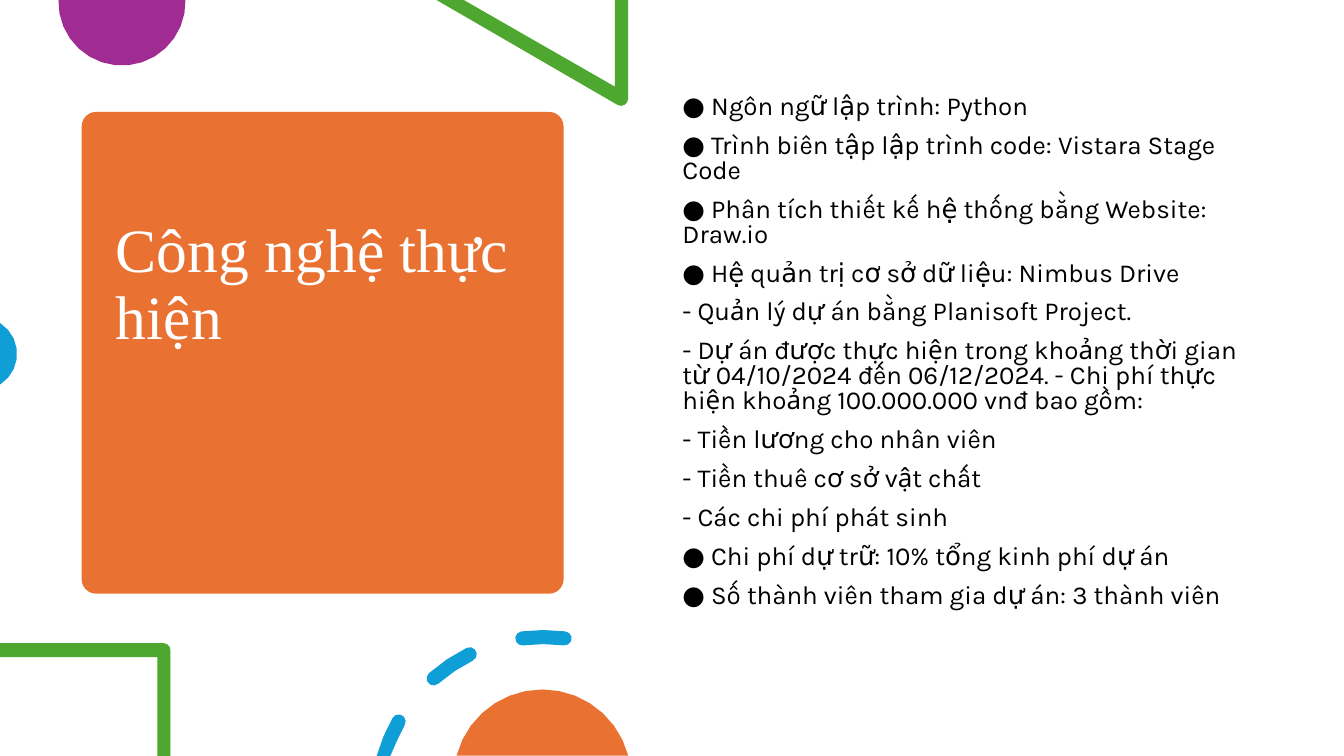
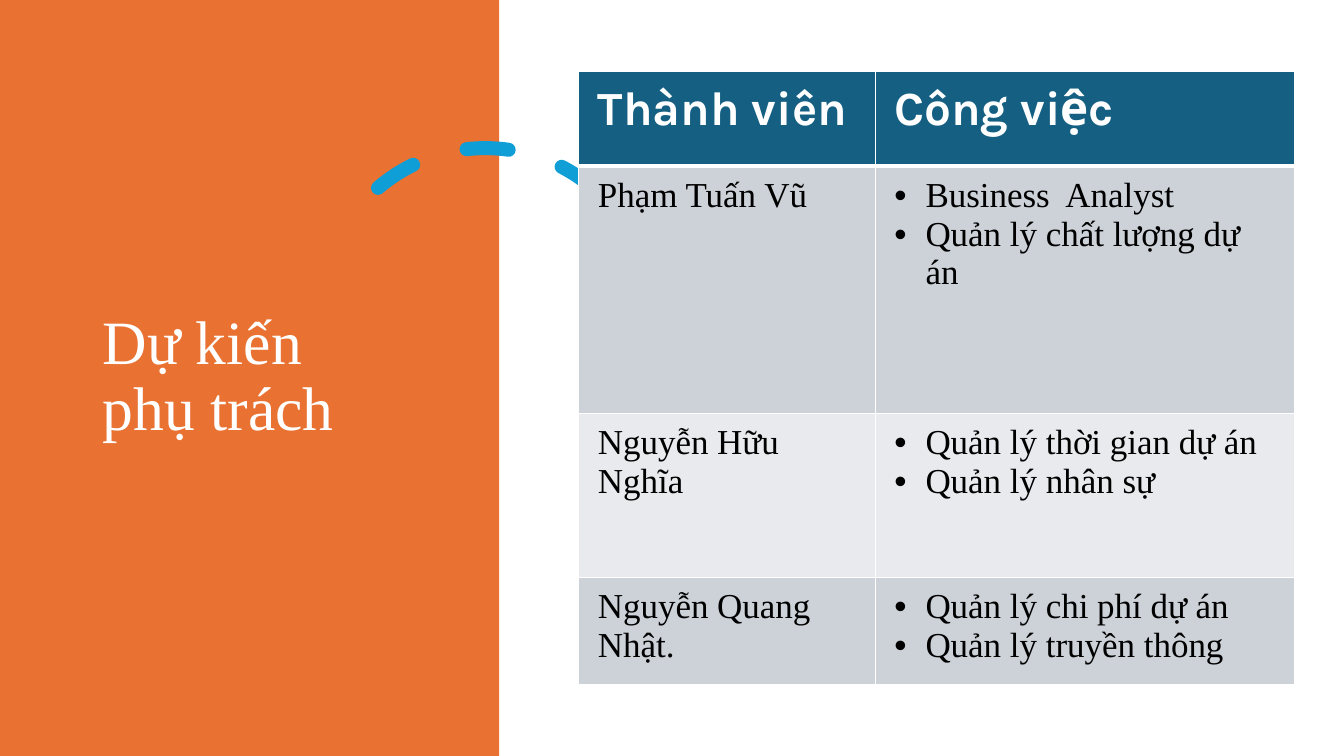
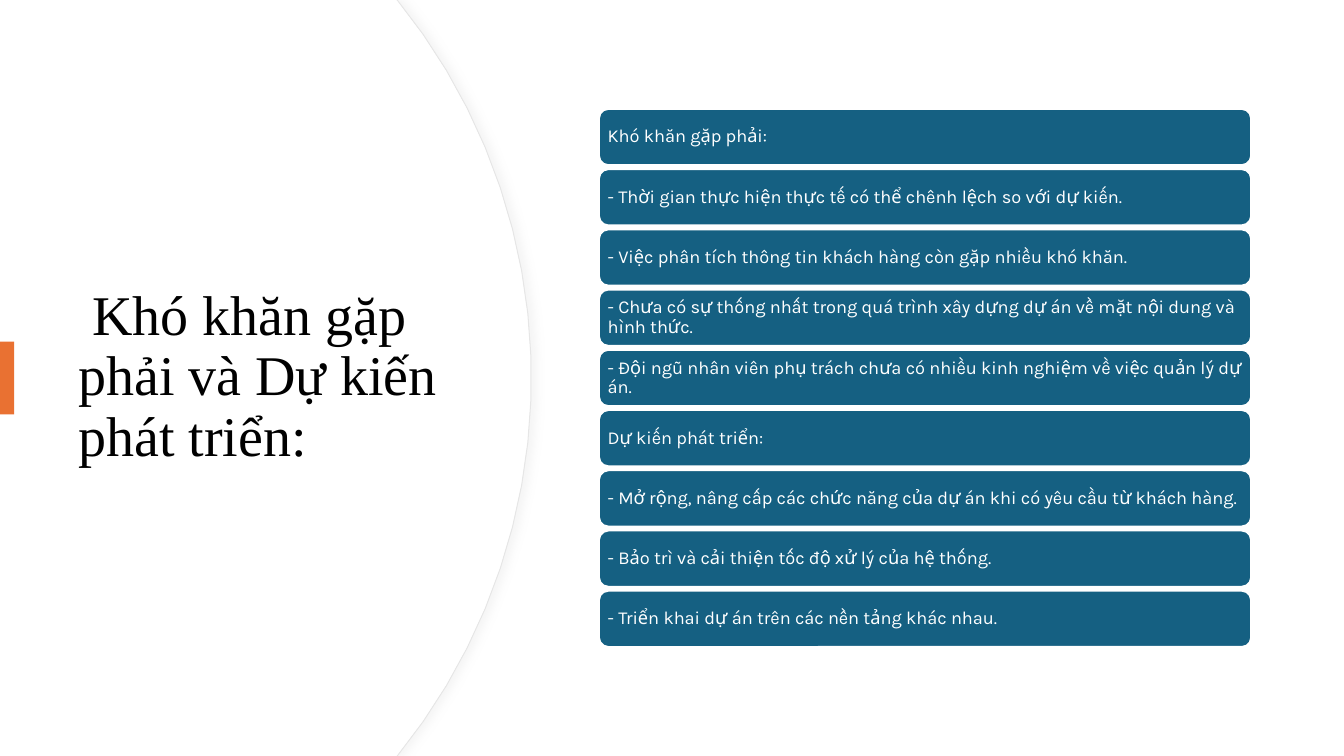
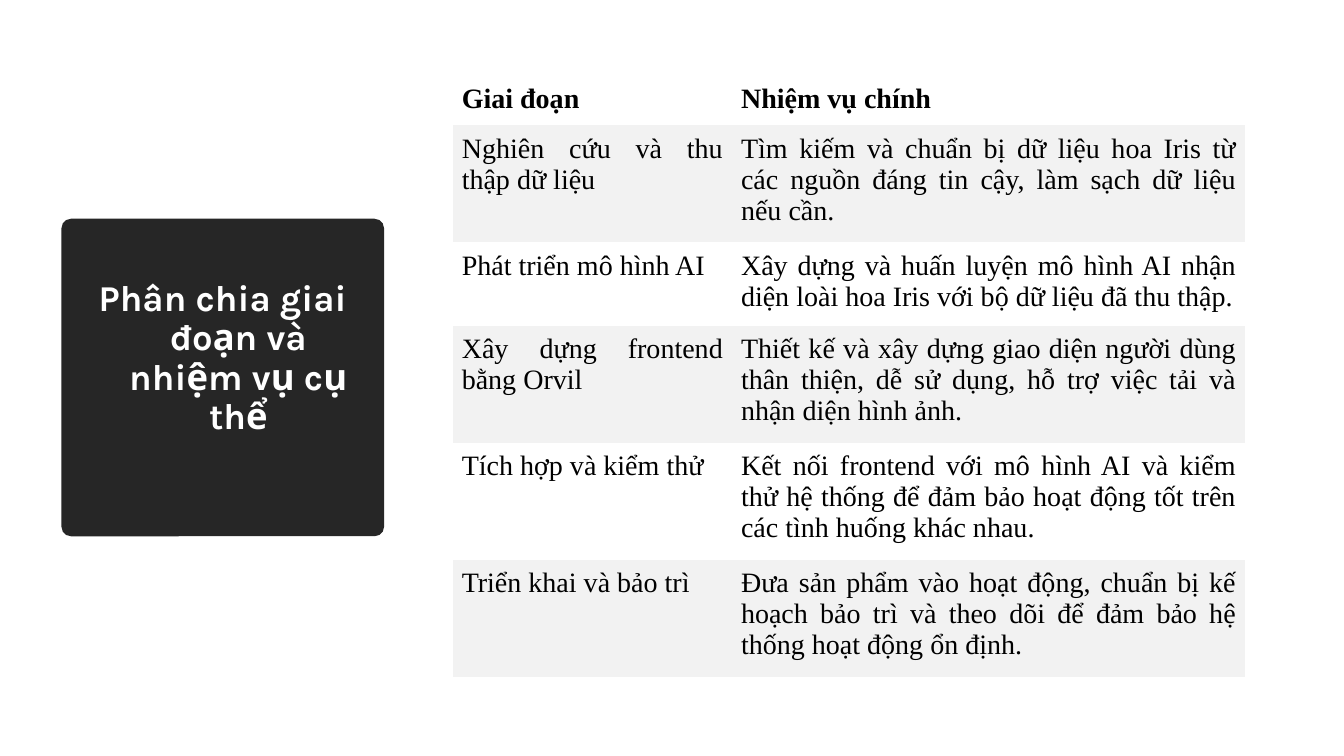
from math import acos, ceil, cos, degrees, radians, sin

from lxml import etree
from pptx import Presentation
from pptx.dml.color import RGBColor
from pptx.enum.dml import MSO_LINE
from pptx.enum.shapes import MSO_SHAPE
from pptx.enum.text import MSO_ANCHOR, PP_ALIGN
from pptx.oxml import parse_xml
from pptx.oxml.ns import nsdecls, qn
from pptx.util import Inches, Pt

RECT, ROUNDED, ARC = MSO_SHAPE.RECTANGLE, MSO_SHAPE.ROUNDED_RECTANGLE, MSO_SHAPE.ARC
TOP, MIDDLE = MSO_ANCHOR.TOP, MSO_ANCHOR.MIDDLE
LEFT, CENTER, JUSTIFY = PP_ALIGN.LEFT, PP_ALIGN.CENTER, PP_ALIGN.JUSTIFY
DASH = MSO_LINE.DASH

WIDTH, HEIGHT = 13.33, 7.5
SERIF, SANS = "Times New Roman", "Karla"
WHITE, BLACK, CHARCOAL = "FFFFFF", "000000", "262626"
ORANGE, GREEN, PURPLE = "E97132", "4EA72E", "A02B93"
SKY, TEAL, RIM, SHADE = "0F9ED5", "156082", "E6E6E6", "D9D9D9"
BAND_DARK, BAND_LIGHT, BAND_GREY = "CCD2D8", "E8EAED", "F2F2F2"
NO_TABLE_STYLE = "{2D5ABB26-0587-4C30-8999-92F81FD0307C}"
TEXT_INSETS = (0.1, 0.05, 0.1, 0.05)

TECHNOLOGIES = [
    "● Ngôn ngữ lập trình: Python",
    "● Trình biên tập lập trình code: Vistara Stage Code",
    "● Phân tích thiết kế hệ thống bằng Website: Draw.io",
    "● Hệ quản trị cơ sở dữ liệu: Nimbus Drive",
    "- Quản lý dự án bằng Planisoft Project.",
    "- Dự án được thực hiện trong khoảng thời gian từ 04/10/2024 đến 06/12/2024. "
    "- Chi phí thực hiện khoảng 100.000.000 vnđ bao gồm:",
    "- Tiền lương cho nhân viên",
    "- Tiền thuê cơ sở vật chất",
    "- Các chi phí phát sinh",
    "● Chi phí dự trữ: 10% tổng kinh phí dự án",
    "● Số thành viên tham gia dự án: 3 thành viên",
]
MEMBERS = [
    ("Phạm Tuấn Vũ", ["Business  Analyst", "Quản lý chất lượng dự án"]),
    ("Nguyễn Hữu Nghĩa", ["Quản lý thời gian dự án", "Quản lý nhân sự"]),
    ("Nguyễn Quang Nhật.", ["Quản lý chi phí dự án", "Quản lý truyền thông"]),
]
DIFFICULTIES_AND_PLANS = [
    "Khó khăn gặp phải:",
    "- Thời gian thực hiện thực tế có thể chênh lệch so với dự kiến.",
    "- Việc phân tích thông tin khách hàng còn gặp nhiều khó khăn.",
    "- Chưa có sự thống nhất trong quá trình xây dựng dự án về mặt nội dung và hình thức.",
    "- Đội ngũ nhân viên phụ trách chưa có nhiều kinh nghiệm về việc quản lý dự án.",
    "Dự kiến phát triển:",
    "- Mở rộng, nâng cấp các chức năng của dự án khi có yêu cầu từ khách hàng.",
    "- Bảo trì và cải thiện tốc độ xử lý của hệ thống.",
    "- Triển khai dự án trên các nền tảng khác nhau.",
]
PHASES = [
    ("Giai đoạn", "Nhiệm vụ chính"),
    ("Nghiên cứu và thu thập dữ liệu",
     "Tìm kiếm và chuẩn bị dữ liệu hoa Iris từ các nguồn đáng tin cậy, "
     "làm sạch dữ liệu nếu cần."),
    ("Phát triển mô hình AI",
     "Xây dựng và huấn luyện mô hình AI nhận diện loài hoa Iris với bộ dữ liệu đã thu thập."),
    ("Xây dựng frontend bằng Orvil",
     "Thiết kế và xây dựng giao diện người dùng thân thiện, dễ sử dụng, "
     "hỗ trợ việc tải và nhận diện hình ảnh."),
    ("Tích hợp và kiểm thử",
     "Kết nối frontend với mô hình AI và kiểm thử hệ thống để đảm bảo "
     "hoạt động tốt trên các tình huống khác nhau."),
    ("Triển khai và bảo trì",
     "Đưa sản phẩm vào hoạt động, chuẩn bị kế hoạch bảo trì và theo dõi "
     "để đảm bảo hệ thống hoạt động ổn định."),
]


def color(value):
    return RGBColor.from_string(value)


def paint(shape, fill, line=None, line_width=1):
    shape.shadow.inherit = False
    if fill:
        shape.fill.solid()
        shape.fill.fore_color.rgb = color(fill)
    else:
        shape.fill.background()
    if line:
        shape.line.color.rgb = color(line)
        shape.line.width = Pt(line_width)
    else:
        shape.line.fill.background()


def add_panel(page, box, fill, kind=RECT, corner=None, line=None, line_width=1):
    panel = page.shapes.add_shape(kind, *map(Inches, box))
    if corner is not None:
        panel.adjustments[0] = corner
    paint(panel, fill, line, line_width)
    return panel


def add_outline(page, contours, fill, line=None):
    """Draw closed contours, each a list of points in inches, as one shape."""
    rings = [[(Inches(x), Inches(y)) for x, y in ring] for ring in contours]
    builder = page.shapes.build_freeform(*rings[0][0])
    for number, ring in enumerate(rings):
        if number:
            builder.move_to(*ring[0])
        builder.add_line_segments(ring[1:], close=True)
    outline = builder.convert_to_shape()
    paint(outline, fill, line, 0.75)
    return outline


def on_circle(x, y, radius, angle):
    return x + radius * cos(radians(angle)), y + radius * sin(radians(angle))


def curve(x, y, radius, start, end, tolerance=0.004):
    """Points of a circle's arc, in degrees clockwise from the right.

    There are just enough of them to stay within the tolerance of the arc.
    """
    steps = ceil(abs(end - start) / degrees(2 * acos(1 - tolerance / radius)))
    return [on_circle(x, y, radius, start + (end - start) * i / steps)
            for i in range(steps + 1)]


def curved_dash(x, y, radius, half, start, end):
    """A round-ended band along an arc, cut off at the foot of the slide."""
    head, tail = (on_circle(x, y, radius, angle) for angle in (end, start))
    points = (curve(x, y, radius + half, start, end)
              + curve(*head, half, end, end + 180)[1:-1]
              + curve(x, y, radius - half, end, start)
              + curve(*tail, half, start + 180, start + 360)[1:-1])
    return [(px, min(py, HEIGHT)) for px, py in points]


def write(frame, lines, size, font, ink, bold=False, align=LEFT, spacing=None,
          before=0, bullet=None, margin=0, indent=0):
    for number, line in enumerate(lines):
        para = frame.add_paragraph() if number else frame.paragraphs[0]
        para.text = line
        properties = para._p.get_or_add_pPr()
        if margin or indent:
            properties.set("marL", str(Inches(margin)))
            properties.set("indent", str(Inches(indent)))
        if bullet:
            etree.SubElement(properties, qn("a:buFont")).set("typeface", "Arial")
            etree.SubElement(properties, qn("a:buChar")).set("char", bullet)
        para.alignment = align
        if spacing:
            para.line_spacing = spacing
        if number and before:
            para.space_before = Pt(before)
        para.font.size = Pt(size)
        para.font.name = font
        para.font.bold = bold
        para.font.color.rgb = color(ink)


def set_frame(frame, anchor, insets=TEXT_INSETS):
    frame.word_wrap = True
    frame.vertical_anchor = anchor
    (frame.margin_left, frame.margin_top,
     frame.margin_right, frame.margin_bottom) = map(Inches, insets)


def add_text(page, box, lines, size, font, ink, anchor=TOP, insets=TEXT_INSETS, **style):
    frame = page.shapes.add_textbox(*map(Inches, box)).text_frame
    set_frame(frame, anchor, insets)
    write(frame, lines, size, font, ink, **style)


def add_title(page, box, text, size=44, ink=WHITE, **style):
    add_text(page, box, [text], size, SERIF, ink, MIDDLE, spacing=0.9, **style)


def add_grid(page, box, columns, rows):
    """Add an unstyled table; rows may grow with their text up to the box."""
    holder = page.shapes.add_table(len(rows), len(columns), *map(Inches, box))
    grid = holder.table
    grid.first_row = grid.horz_banding = False
    grid._tbl.tblPr.find(qn("a:tableStyleId")).text = NO_TABLE_STYLE
    for column, width in zip(grid.columns, columns):
        column.width = Inches(width)
    for row, height in zip(grid.rows, rows):
        row.height = Inches(height)
    holder.height = Inches(box[3])
    return grid


def set_borders(cell, **widths):
    """Give the sides L, R, T, B white lines of the given point widths."""
    properties = cell._tc.get_or_add_tcPr()
    for side, width in widths.items():
        properties.append(parse_xml(
            f'<a:ln{side} {nsdecls("a")} w="{Pt(width)}"><a:solidFill>'
            f'<a:srgbClr val="{WHITE}"/></a:solidFill></a:ln{side}>'))


def fill_cell(cell, lines, fill, insets, size, font, ink, **style):
    (cell.margin_left, cell.margin_top,
     cell.margin_right, cell.margin_bottom) = map(Inches, insets)
    if fill:
        cell.fill.solid()
        cell.fill.fore_color.rgb = color(fill)
    else:
        cell.fill.background()
    write(cell.text_frame, lines, size, font, ink, **style)


def add_corner_ornaments(page):
    add_outline(page, [curve(1.21, 0.02, 0.63, -2, 182)], PURPLE)
    add_outline(page, [[(4.33, 0), (4.6, 0), (6.1, 0.86), (6.1, 0), (6.23, 0)]
                       + curve(6.16, 0.98, 0.07, 0, 120)], GREEN)
    add_outline(page, [curve(-0.19, 3.51, 0.36, -58, 58)], SKY)
    add_outline(page, [[(0, 6.38)] + curve(1.62, 6.45, 0.07, -90, 0)
                       + [(1.69, HEIGHT), (1.56, HEIGHT), (1.56, 6.52), (0, 6.52)]], GREEN)
    dashes = [(196, 209.5), (228.7, 243.7), (262.7, 277.3)]
    add_outline(page, [curved_dash(5.39, 7.97, 1.65, 0.07, *span) for span in dashes], SKY)
    add_outline(page, [curve(5.38, 7.72, 0.88, 194.7, 345.3)], ORANGE)


def add_member_table(page, box):
    insets = (0.19, 0.1, 0.19, 0.1)
    grid = add_grid(page, box, (2.94, 4.16), (0.94, 2.45, 1.63, 1.06))
    for number, row in enumerate(grid.rows):
        for cell in row.cells:
            set_borders(cell, L=1, R=1, T=3 if number == 1 else 1, B=1 if number else 3)
    for column, heading in enumerate(("Thành viên", "Công việc")):
        fill_cell(grid.cell(0, column), [heading], TEAL, insets, 34, SANS, WHITE, bold=True)
    for number, (member, duties) in enumerate(MEMBERS, 1):
        look = (BAND_DARK if number % 2 else BAND_LIGHT, insets, 25, SERIF, BLACK)
        fill_cell(grid.cell(number, 0), [member], *look)
        fill_cell(grid.cell(number, 1), duties, *look,
                  bullet="•", margin=0.31, indent=-0.31)


def add_phase_table(page, box):
    grid = add_grid(page, box, (2.77, 5.09), (0.49, 0.69, 0.76, 0.69, 1.04, 0.69))
    for number, phase in enumerate(PHASES):
        for column, text in enumerate(phase):
            fill_cell(grid.cell(number, column), [text], BAND_GREY if number % 2 else None,
                      (0.09, 0.08, 0.09, 0.08), 20, SERIF, BLACK,
                      bold=number == 0, align=JUSTIFY)


def add_bar_list(page, box, lines, bar_height=0.56):
    left, top, width, height = box
    pitch = (height - bar_height) / (len(lines) - 1)
    for number, line in enumerate(lines):
        bar = add_panel(page, (left, top + number * pitch, width, bar_height),
                        TEAL, ROUNDED, line=WHITE, line_width=1.5)
        set_frame(bar.text_frame, MIDDLE, (0.06, 0.05, 0.04, 0.05))
        write(bar.text_frame, [line], 13, SANS, WHITE, spacing=0.9)


def add_round_side(page):
    """White circle segment on the left, with a thin rim and a soft shadow."""
    rim, face = (
        add_outline(page, [[(0, 0)] + curve(x, HEIGHT / 2, 5.95, -39.07, 39.07)
                           + [(0, HEIGHT)]], WHITE, line)
        for x, line in ((-0.68, RIM), (-0.69, None)))
    effects = rim._element.spPr.find(qn("a:effectLst"))
    effects.append(parse_xml(
        f'<a:outerShdw {nsdecls("a")} blurRad="{Pt(6)}" dist="{Pt(3)}" dir="0" '
        f'algn="l" rotWithShape="0"><a:srgbClr val="{SHADE}">'
        '<a:alpha val="25000"/></a:srgbClr></a:outerShdw>'))


def build_technology_slide(page):
    add_panel(page, (0.81, 1.11, 4.78, 4.78), ORANGE, ROUNDED, 0.03)
    add_title(page, (1.05, 1.22, 4.31, 4.56), "Công nghệ thực hiện",
              insets=(0.1, 0.05, 0.1, 1.37))
    add_corner_ornaments(page)
    add_text(page, (6.67, 0.9, 5.75, 5.35), TECHNOLOGIES, 18.5, SANS, BLACK,
             spacing=0.8, before=10)


def build_member_slide(page):
    add_panel(page, (0, 0, 4.95, HEIGHT), ORANGE)
    arc = add_panel(page, (3.18, 1.47, 3.27, 3.27), None, ARC, 146.13, SKY, 10)
    arc.adjustments[1] = 0
    arc.rotation = 345.8
    arc.line.dash_style = DASH
    arc.line._get_or_add_ln().set("cap", "rnd")
    add_title(page, (0.92, 0.7, 3.23, 6.09), "Dự kiến phụ trách")
    add_member_table(page, (5.74, 0.71, 7.1, 6.08))


def build_outlook_slide(page):
    add_round_side(page)
    add_title(page, (0.68, 1.27, 3.94, 4.95), "Khó khăn gặp phải và Dự kiến phát triển:",
              40, BLACK, indent=0.14)
    add_panel(page, (0, 3.39, 0.14, 0.72), ORANGE)
    add_bar_list(page, (5.94, 1.08, 6.47, 5.34), DIFFICULTIES_AND_PLANS)


def build_phase_slide(page):
    plate = add_panel(page, (0.61, 2.17, 3.2, 3.15), CHARCOAL, ROUNDED, 0.03)
    set_frame(plate.text_frame, MIDDLE, (0.17, 0.15, 0.17, 0.52))
    write(plate.text_frame, ["Phân chia giai đoạn và nhiệm vụ cụ thể"], 26, SANS, WHITE,
          bold=True, align=CENTER, spacing=0.9, margin=0.31, indent=-0.31)
    add_phase_table(page, (4.49, 0.75, 7.86, 5.99))


def main():
    deck = Presentation()
    deck.slide_width, deck.slide_height = Inches(WIDTH), Inches(HEIGHT)
    blank = deck.slide_layouts[6]
    for build in (build_technology_slide, build_member_slide,
                  build_outlook_slide, build_phase_slide):
        build(deck.slides.add_slide(blank))
    deck.save("out.pptx")


if __name__ == "__main__":
    main()
